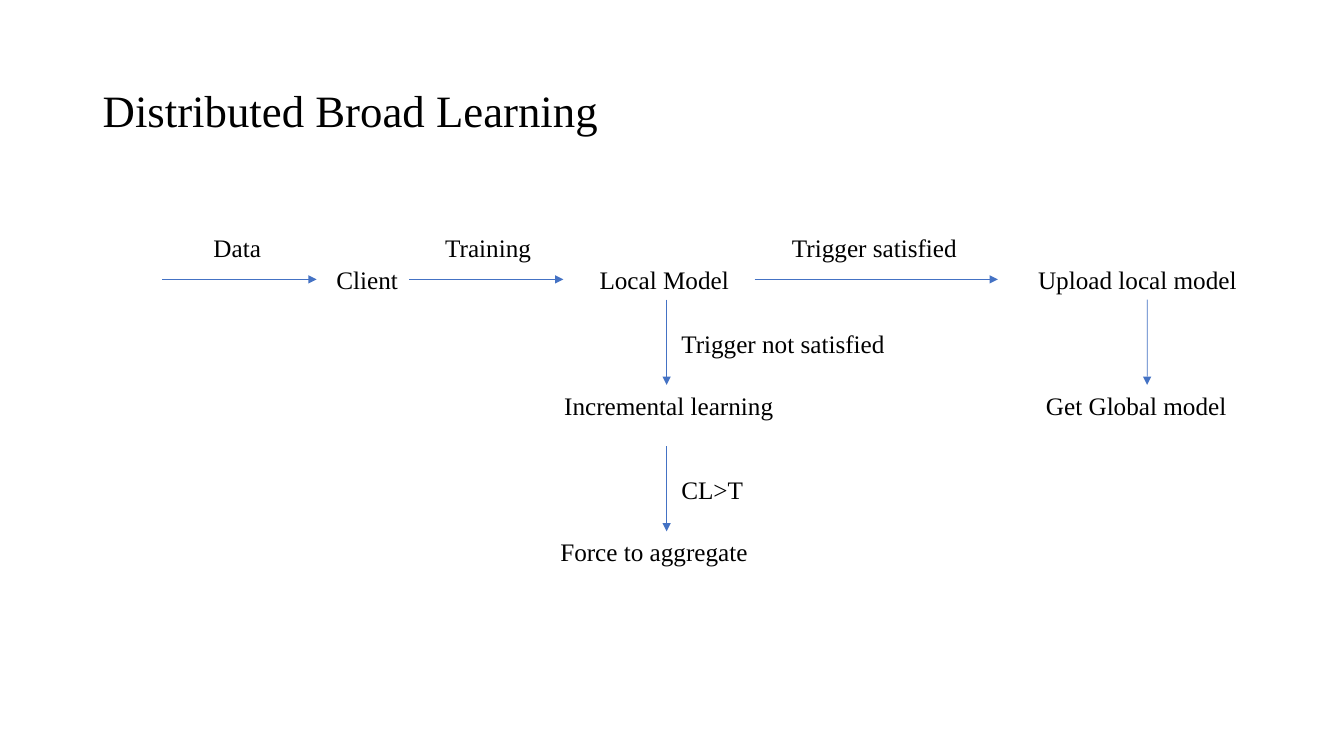
from lxml import etree
from pptx import Presentation
from pptx import util as u
from pptx.dml.color import RGBColor
from pptx.enum import shapes, text
from pptx.oxml.ns import qn

FONT = "Times New Roman"
BLACK, BLUE = "000000", "4472C4"
TITLE = "Distributed Broad Learning"

# All lengths in centimetres
BOX_HEIGHT = 1.02
MAIN_TOP, STEP_TOP, FORCE_TOP = 6.53, 9.7, 13.39
CAPTION_TOP = 5.72
SIDE_CAPTION_TOP = 8.15
ROW_GAP = FORCE_TOP - STEP_TOP
AXIS = MAIN_TOP + BOX_HEIGHT / 2
MODEL_X, UPLOAD_X, SIDE_CAPTION_X = 16.8, 28.91, 16.92
DROP = STEP_TOP - MAIN_TOP - BOX_HEIGHT

# text, left, top, width, wrap
LABELS = [
    ("Data", 5.13, CAPTION_TOP, 1.73, False),
    ("Training", 10.97, CAPTION_TOP, 2.74, False),
    ("Trigger satisfied", 19.71, CAPTION_TOP, 4.9, False),
    ("Client", 8.23, MAIN_TOP, 2.08, False),
    ("Local Model", 14.86, MAIN_TOP, 3.88, False),
    ("Upload local model", 25.91, MAIN_TOP, 5.56, False),
    ("Trigger not satisfied", SIDE_CAPTION_X, SIDE_CAPTION_TOP, 5.69, False),
    ("CL>T", SIDE_CAPTION_X, SIDE_CAPTION_TOP + ROW_GAP, 2.24, False),
    ("Incremental learning", 13.97, STEP_TOP, 6.22, True),
    ("Get Global model", 26.11, STEP_TOP, 5.6, True),
    ("Force to aggregate", 13.87, FORCE_TOP, 6.93, True),
]

# start x, start y, end x, end y, (start label, side), (end label, side)
ARROWS = [
    (4.09, AXIS, 7.98, AXIS, None, None),
    (10.31, AXIS, 14.2, AXIS, ("Client", 3), None),
    (19.02, AXIS, 25.15, AXIS, None, None),
    (MODEL_X, STEP_TOP - DROP, MODEL_X, STEP_TOP, ("Local Model", 2), None),
    (MODEL_X, FORCE_TOP - DROP, MODEL_X, FORCE_TOP, None, None),
    (UPLOAD_X, STEP_TOP - DROP, UPLOAD_X, STEP_TOP, None, ("Get Global model", 0)),
]


def colour(value):
    return RGBColor.from_string(value)


def add_text(page, words, left, top, width, height, size, wrap):
    box = page.shapes.add_textbox(u.Cm(left), u.Cm(top), u.Cm(width), u.Cm(height))
    frame = box.text_frame
    frame.text = words
    frame.word_wrap = wrap
    font = frame.paragraphs[0].runs[0].font
    font.name, font.size = FONT, u.Pt(size)
    font.color.rgb = colour(BLACK)
    return box


def add_arrow(page, boxes, x1, y1, x2, y2, start, end):
    """Draw a thin arrow, joined to a label's side where one is named."""
    arrow = page.shapes.add_connector(
        shapes.MSO_CONNECTOR.STRAIGHT, u.Cm(x1), u.Cm(y1), u.Cm(x2), u.Cm(y2))
    if start:
        arrow.begin_connect(boxes[start[0]], start[1])
    if end:
        arrow.end_connect(boxes[end[0]], end[1])
    arrow.line.color.rgb = colour(BLUE)
    arrow.line.width = u.Pt(0.5)
    etree.SubElement(arrow.line._get_or_add_ln(), qn("a:tailEnd"), type="triangle")
    etree.SubElement(arrow._element.spPr, qn("a:effectLst"))


def main():
    deck = Presentation()
    deck.slide_width, deck.slide_height = u.Cm(33.87), u.Cm(19.05)
    page = deck.slides.add_slide(deck.slide_layouts[6])

    title = add_text(page, TITLE, 2.34, 1.02, 29.21, 3.68, 32, True)
    title.text_frame.vertical_anchor = text.MSO_ANCHOR.MIDDLE
    title.text_frame.paragraphs[0].line_spacing = 0.9

    boxes = {}
    for words, left, top, width, wrap in LABELS:
        box = add_text(page, words, left, top, width, BOX_HEIGHT, 18, wrap)
        box.text_frame.auto_size = text.MSO_AUTO_SIZE.SHAPE_TO_FIT_TEXT
        boxes[words] = box
    for arrow in ARROWS:
        add_arrow(page, boxes, *arrow)

    deck.save("out.pptx")


if __name__ == "__main__":
    main()
